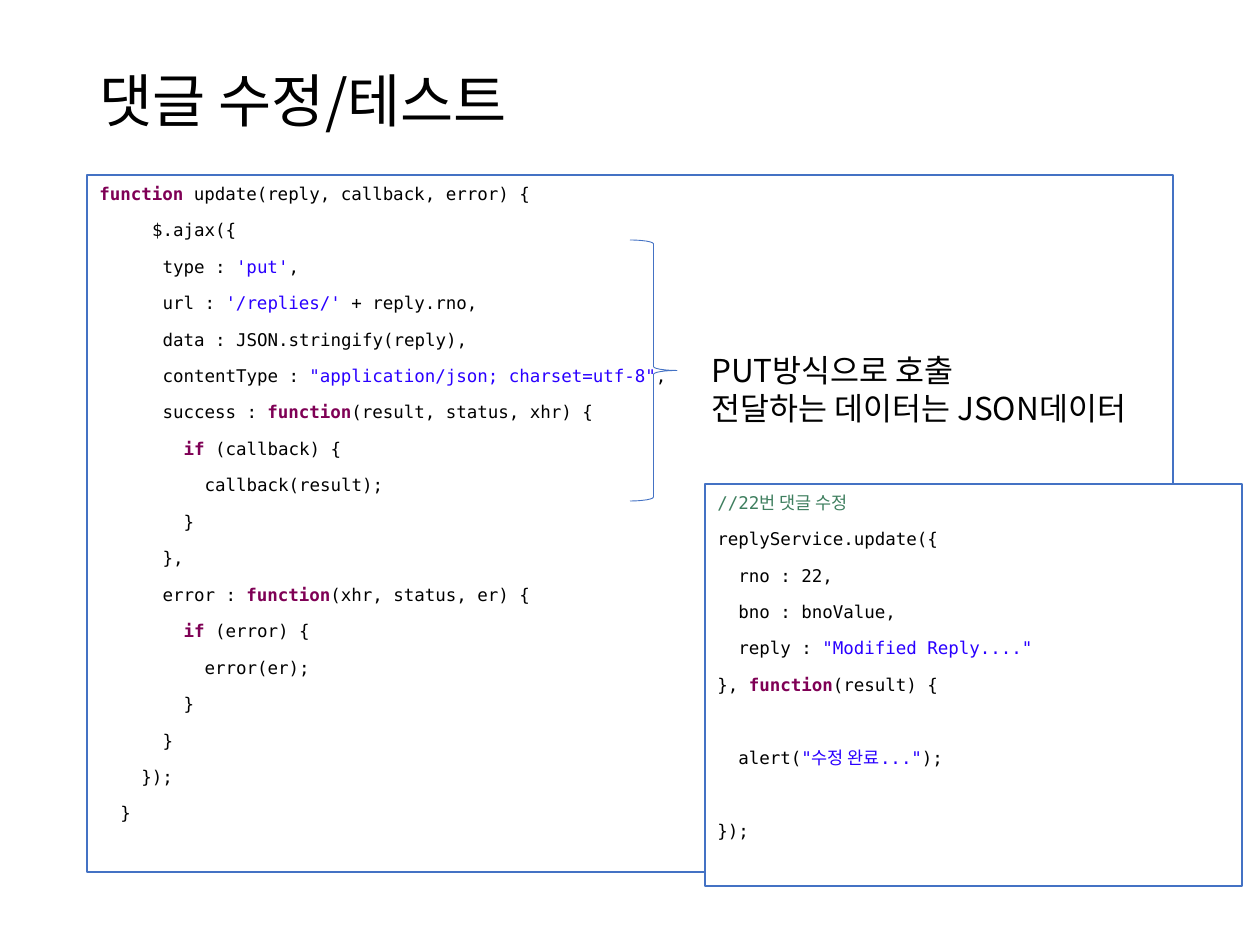
from dataclasses import dataclass

from lxml.etree import SubElement
from pptx import Presentation
from pptx.dml.color import RGBColor
from pptx.enum.shapes import MSO_SHAPE
from pptx.enum.text import MSO_ANCHOR, MSO_AUTO_SIZE, PP_ALIGN
from pptx.oxml.ns import qn
from pptx.slide import Slide
from pptx.util import Emu, Pt

PX_PER_INCH = 126
UPDATE_CODE = [
    (0, "function| update(reply, callback, error) {"),
    (5, "$.ajax({"),
    (6, "type : |'put'|,"),
    (6, "url : |'/replies/'| + reply.rno,"),
    (6, "data : JSON.stringify(reply),"),
    (6, 'contentType : |"application/json; charset=utf-8"|,'),
    (6, "success : |function|(result, status, xhr) {"),
    (8, "if| (callback) {"),
    (10, "callback(result);"),
    (8, "}"),
    (6, "},"),
    (6, "error : |function|(xhr, status, er) {"),
    (8, "if| (error) {"),
    (10, "error(er);"),
    (8, "}"),
    (6, "}"),
    (4, "});"),
    (2, "}"),
]
TEST_CODE = [
    (0, "//22번 댓글 수정"),
    (0, "replyService.update({"),
    (2, "rno : 22,"),
    (2, "bno : bnoValue,"),
    (2, 'reply : |"Modified Reply...."'),
    (0, "}, |function|(result) {"),
    (2, 'alert(|"수정 완료..."|);'),
    (0, "});"),
]
SPACED_LINES = {'alert(|"수정 완료..."|);', "});"}


def px(length):
    """Turn pixels into EMU."""
    return Emu(round(length * 914400 / PX_PER_INCH))


def color(value):
    """Turn a hex string into a colour."""
    return RGBColor.from_string(value)


@dataclass
class SlideBuilder:
    """Hold the style and the slide being built."""

    slide: Slide
    text_font: str = "Noto Sans CJK KR"
    code_font: str = "DejaVu Sans Mono"
    ink: str = "000000"
    accent: str = "4472C4"
    paper: str = "FFFFFF"
    keyword: str = "7F0055"
    string: str = "2A00FF"
    comment: str = "3F7F5F"
    code_size: int = 10
    code_advance: float = 6.02
    code_pitch: float = 20.8

    def format_paragraph(self, paragraph, font_name, size):
        """Set the alignment and font of a whole paragraph."""
        paragraph.alignment = PP_ALIGN.LEFT
        font = paragraph.font
        font.name = font_name
        font.size = Pt(size)
        font.color.rgb = color(self.ink)
        properties = paragraph._p.get_or_add_pPr().get_or_add_defRPr()
        SubElement(properties, qn("a:ea"), typeface=self.text_font)

    def title(self, left, top, width, height, text):
        """Fill and place the title placeholder."""
        shape = self.slide.shapes.title
        shape.left, shape.top = px(left), px(top)
        shape.width, shape.height = px(width), px(height)
        frame = shape.text_frame
        frame.text = text
        frame.auto_size = MSO_AUTO_SIZE.NONE
        frame.vertical_anchor = MSO_ANCHOR.MIDDLE
        paragraph = frame.paragraphs[0]
        paragraph.line_spacing = 0.9
        self.format_paragraph(paragraph, self.text_font, 33)

    def outline(self, preset, left, top, width, height, line_width):
        """Add an outlined shape without fill or shadow."""
        shape = self.slide.shapes.add_shape(
            preset, px(left), px(top), px(width), px(height)
        )
        shape.shadow.inherit = False
        shape.fill.background()
        shape.line.color.rgb = color(self.accent)
        shape.line.width = Pt(line_width)
        return shape

    def token(self, paragraph, text):
        """Add one code token, coloured by its kind."""
        run = paragraph.add_run()
        run.text = text
        if text in ("function", "if"):
            run.font.bold = True
            run.font.color.rgb = color(self.keyword)
        elif text.startswith(("'", '"')):
            run.font.color.rgb = color(self.string)
        elif text.startswith("//"):
            run.font.color.rgb = color(self.comment)

    def code(self, left, top, width, height, lines, spaced_lines=()):
        """Add a framed code listing."""
        shape = self.outline(MSO_SHAPE.RECTANGLE, left, top, width, height, 1)
        shape.fill.solid()
        shape.fill.fore_color.rgb = color(self.paper)
        frame = shape.text_frame
        frame.word_wrap = True
        frame.vertical_anchor = MSO_ANCHOR.TOP
        for index, (indent, line) in enumerate(lines):
            paragraph = frame.add_paragraph() if index else frame.paragraphs[0]
            self.format_paragraph(paragraph, self.code_font, self.code_size)
            paragraph.line_spacing = 1.07
            paragraph.space_after = Pt(8)
            if line in spaced_lines:
                paragraph.space_before = Pt(self.code_pitch)
            margin = Pt(indent * self.code_advance)
            paragraph._p.get_or_add_pPr().set("marL", str(margin))
            for text in line.split("|"):
                self.token(paragraph, text)

    def brace(self, left, top, width, height):
        """Add a right brace."""
        self.outline(MSO_SHAPE.RIGHT_BRACE, left, top, width, height, 0.5)

    def note(self, left, top, width, height, text):
        """Add a plain text box."""
        box = self.slide.shapes.add_textbox(
            px(left), px(top), px(width), px(height)
        )
        frame = box.text_frame
        frame.word_wrap = True
        frame.text = text
        for paragraph in frame.paragraphs:
            self.format_paragraph(paragraph, self.text_font, 18)


def main():
    """Build and save the slide."""
    presentation = Presentation()
    presentation.slide_width, presentation.slide_height = px(1260), px(945)
    slide = presentation.slides.add_slide(presentation.slide_layouts[5])
    builder = SlideBuilder(slide)
    builder.title(87, 50, 1086, 107, "댓글 수정/테스트")
    builder.code(87, 175, 1086, 697, UPDATE_CODE)
    builder.brace(630, 240, 47, 261)
    builder.note(699, 345, 493, 89, "PUT방식으로 호출\n전달하는 데이터는 JSON데이터")
    builder.code(705, 484, 537, 402, TEST_CODE, SPACED_LINES)
    presentation.save("out.pptx")


if __name__ == "__main__":
    main()
